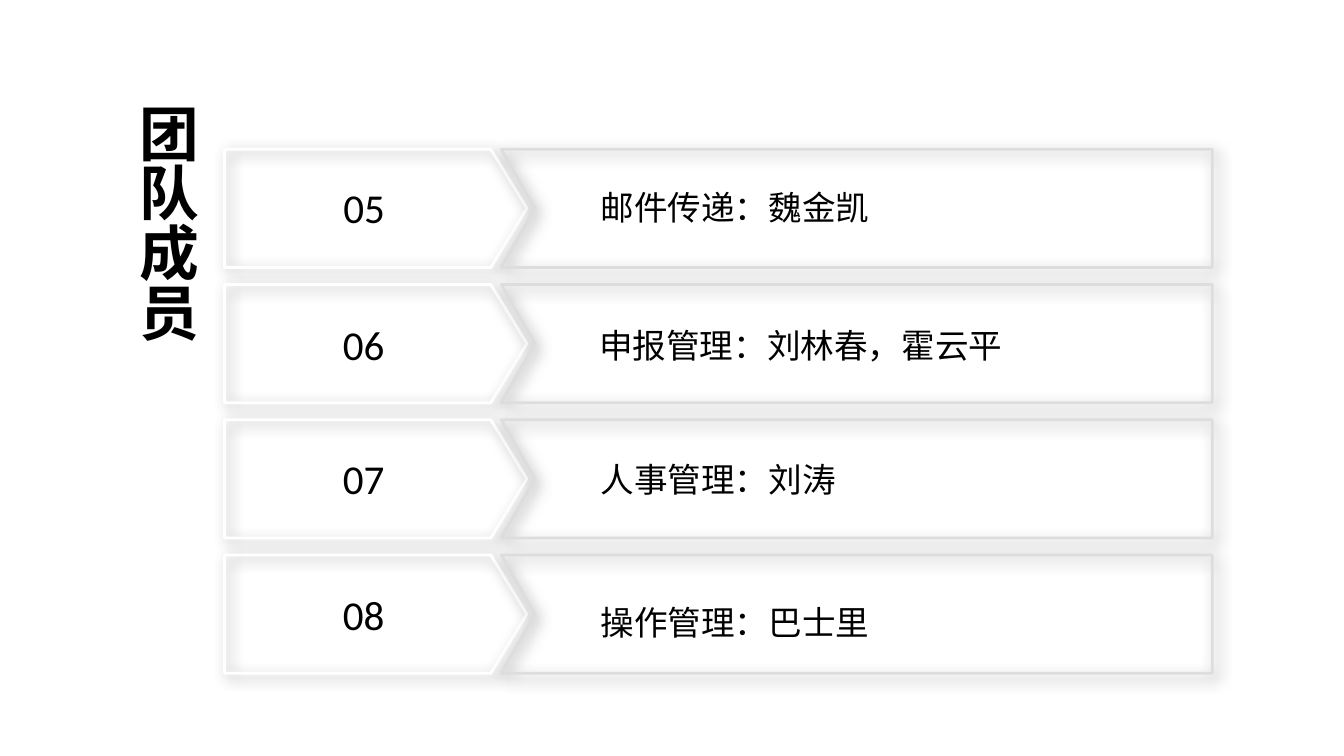
from lxml import etree
from pptx import Presentation
from pptx import util as u
from pptx.dml.color import RGBColor
from pptx.enum import shapes, text
from pptx.oxml.ns import qn

TITLE = "团队成员"
# number and its box (left, drop, width), then label and its box
ROWS = [
    ("05", (2.24, 0.20, 0.94), "邮件传递：魏金凯", (4.37, 0.23, 4.40)),
    ("06", (2.43, 0.21, 0.55), "申报管理：刘林春，霍云平", (4.36, 0.25, 4.11)),
    ("07", (2.43, 0.20, 0.55), "人事管理：刘涛", (4.37, 0.24, 3.80)),
    ("08", (2.43, 0.21, 0.55), "操作管理：巴士里", (4.37, 0.30, 3.80)),
]
BLACK = RGBColor(0x00, 0x00, 0x00)
WHITE = RGBColor(0xFF, 0xFF, 0xFF)
GREY = RGBColor(0xDD, 0xDD, 0xDD)
CJK, LATIN = "Noto Sans CJK SC", "Calibri"

SLIDE_WIDTH = u.Inches(10)
SLIDE_HEIGHT = SLIDE_WIDTH * 9 // 16
FIRST_TOP, LAST_TOP, ROW_HEIGHT = 1.11, 4.13, 0.88
PITCH = (LAST_TOP - FIRST_TOP) / (len(ROWS) - 1)
TAG_LEFT, TAG_WIDTH, TAG_POINT = 1.67, 2.25, 0.305
BAR_LEFT, BAR_NOTCH, BAR_RIGHT = 3.73, 3.98, 9.02
NUMBER_HEIGHT, LABEL_HEIGHT = 0.47, 0.4


def style_outline(shape, color):
    """Leave the shape unfilled, with a coloured line and a soft shadow."""
    shape.fill.background()
    shape.line.color.rgb = color
    shape.line.width = u.Pt(1.5)
    shape.shadow.inherit = False
    effects = shape._element.spPr.find(qn("a:effectLst"))
    shadow = etree.SubElement(
        effects, qn("a:outerShdw"), blurRad=str(u.Pt(8)), dist=str(u.Pt(3)),
        dir=str(45 * 60000), algn="tl", rotWithShape="0")
    shade = etree.SubElement(shadow, qn("a:srgbClr"), val=str(BLACK))
    etree.SubElement(shade, qn("a:alpha"), val="40000")


def write(box, words, size, font, align, bold=False):
    """Write one formatted run into the box."""
    para = box.text_frame.paragraphs[0]
    para.alignment = align
    span = para.add_run()
    span.text = words
    span.font.size = u.Pt(size)
    span.font.name = font
    span.font.bold = bold
    span.font.color.rgb = BLACK
    etree.SubElement(span.font._element, qn("a:ea"), typeface=font)


def add_label(page, left, top, width, height, *style):
    """Add a wrapping text box with one run."""
    box = page.shapes.add_textbox(*map(u.Inches, (left, top, width, height)))
    box.text_frame.word_wrap = True
    box.text_frame.auto_size = text.MSO_AUTO_SIZE.SHAPE_TO_FIT_TEXT
    write(box, *style)


def add_row(page, top, number, number_place, label, label_place):
    """Add a pointed number tag and the notched bar beside it."""
    tag = page.shapes.add_shape(
        shapes.MSO_SHAPE.PENTAGON,
        *map(u.Inches, (TAG_LEFT, top, TAG_WIDTH, ROW_HEIGHT)))
    tag.adjustments[0] = TAG_POINT
    style_outline(tag, WHITE)

    bottom = top + ROW_HEIGHT
    corners = [(BAR_RIGHT, top), (BAR_RIGHT, bottom), (BAR_LEFT, bottom),
               (BAR_NOTCH, top + ROW_HEIGHT / 2)]
    outline = page.shapes.build_freeform(u.Inches(BAR_LEFT), u.Inches(top))
    outline.add_line_segments(
        [(u.Inches(x), u.Inches(y)) for x, y in corners], close=True)
    style_outline(outline.convert_to_shape(), GREY)

    left, drop, width = number_place
    add_label(page, left, top + drop, width, NUMBER_HEIGHT,
              number, 22, LATIN, text.PP_ALIGN.CENTER)
    left, drop, width = label_place
    add_label(page, left, top + drop, width, LABEL_HEIGHT,
              label, 18, CJK, text.PP_ALIGN.LEFT)


def add_title(page):
    """Set the title in a vertical column at the left."""
    box = page.shapes.title
    box.left, box.top, box.width, box.height = map(
        u.Inches, (0.33, 0.72, 1.28, 1.9))
    frame = box.text_frame
    frame.word_wrap = False
    frame.auto_size = text.MSO_AUTO_SIZE.SHAPE_TO_FIT_TEXT
    frame.vertical_anchor = text.MSO_ANCHOR.TOP
    frame._txBody.bodyPr.set("vert", "eaVert")
    write(box, TITLE, 32, CJK, text.PP_ALIGN.CENTER, True)


def main():
    """Build the team slide."""
    deck = Presentation()
    deck.slide_width, deck.slide_height = SLIDE_WIDTH, SLIDE_HEIGHT
    page = deck.slides.add_slide(deck.slide_layouts.get_by_name("Title Only"))
    add_title(page)
    for index, row in enumerate(ROWS):
        add_row(page, FIRST_TOP + index * PITCH, *row)
    deck.save("out.pptx")


if __name__ == "__main__":
    main()
